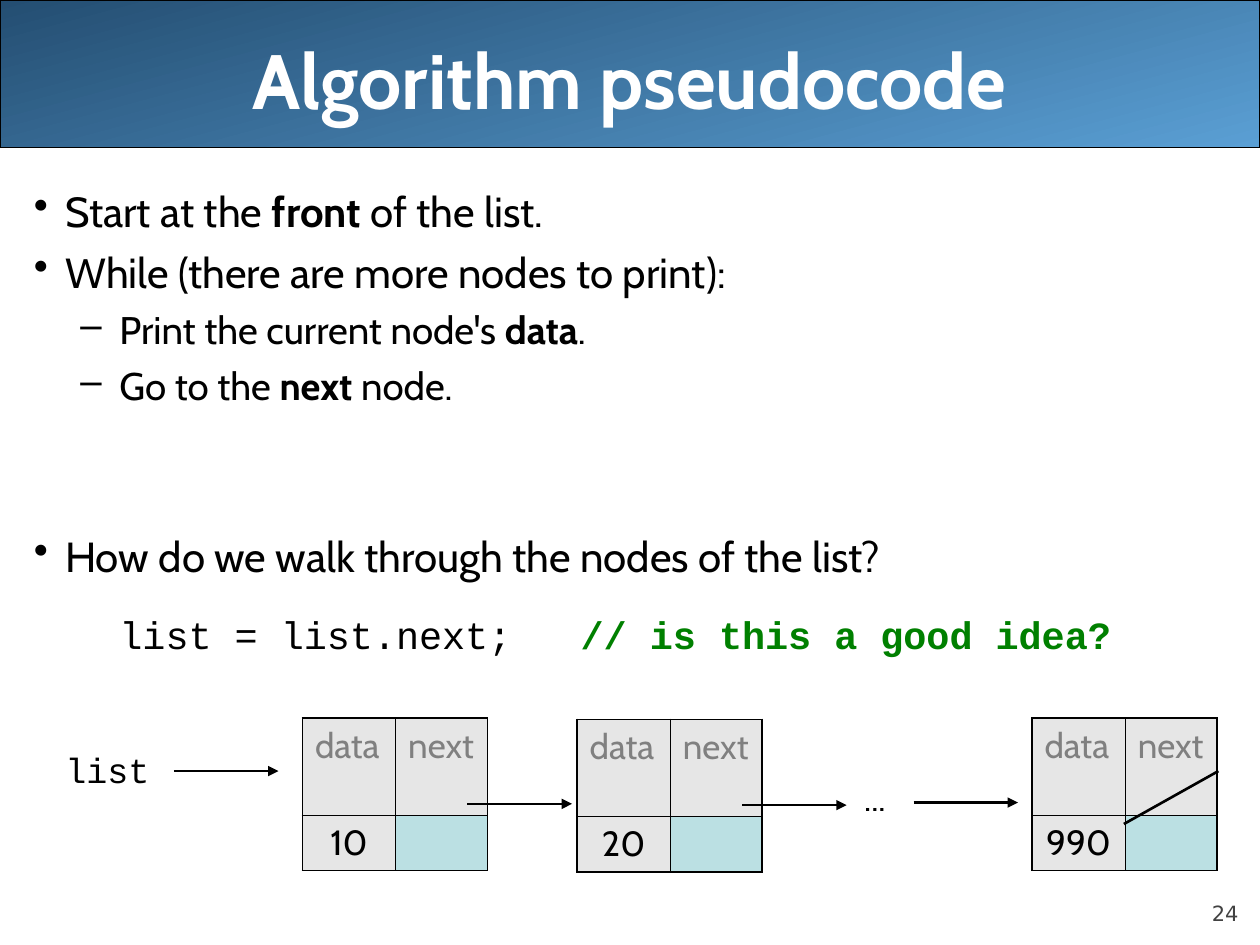
from dataclasses import dataclass

from lxml.etree import SubElement as Sub
from pptx import Presentation
from pptx.dml.color import RGBColor as RGB
from pptx.enum.shapes import MSO_CONNECTOR as Link, MSO_SHAPE as Form
from pptx.enum.text import MSO_ANCHOR as Anchor, PP_ALIGN as Align
from pptx.oxml.ns import qn
from pptx.util import Inches, Pt


@dataclass(frozen=True)
class Theme:
    ink: str = "000000"
    white: str = "FFFFFF"
    dark: str = "244E72"
    light: str = "5A9FD4"
    grey: str = "E6E6E6"
    teal: str = "BBE0E3"
    label: str = "808080"
    note: str = "008000"
    page: str = "424242"
    sans: str = "Cabin"
    mono: str = "Courier New"
    plain: str = "DejaVu Sans"
    title: int = 44
    body: int = 24
    sub: int = 22
    node: int = 20
    small: int = 12
    thick: float = 1.08
    thin: float = 0.45


class Deck:
    cols, rows = 10, 7.5

    def __init__(self, theme):
        self.theme = theme
        self.file = Presentation()
        self.file.slide_width = Inches(10)
        self.file.slide_height = Inches(7.5)
        self.slide = self.file.slides.add_slide(self.file.slide_layouts[6])
        self.shapes = self.slide.shapes

    def x(self, col):
        return round(self.file.slide_width * col / self.cols)

    def y(self, row):
        return round(self.file.slide_height * row / self.rows)

    def area(self, left, top, width, height):
        return self.x(left), self.y(top), self.x(width), self.y(height)

    def style(self, para, size, color=None, face=None, bold=False):
        font = para.font
        font.size, font.bold = Pt(size), bold
        font.name = face or self.theme.sans
        font.color.rgb = RGB.from_string(color or self.theme.ink)

    def band(self, *area):
        shape = self.shapes.add_shape(Form.RECTANGLE, *self.area(*area))
        shape.shadow.inherit = False
        shape.fill.gradient()
        shape.fill.gradient_angle = 285
        for stop, color in zip(shape.fill.gradient_stops, (self.theme.dark, self.theme.light)):
            stop.color.rgb = RGB.from_string(color)
        shape.line.color.rgb = RGB.from_string(self.theme.ink)
        shape.line.width = Pt(0.75)

    def frame(self, *area, wrap=True, anchor=Anchor.TOP):
        frame = self.shapes.add_textbox(*self.area(*area)).text_frame
        frame.word_wrap, frame.vertical_anchor = wrap, anchor
        return frame

    def text(self, words, area, size, align=Align.LEFT, anchor=Anchor.TOP,
             wrap=True, inset=True, **look):
        frame = self.frame(*area, wrap=wrap, anchor=anchor)
        if not inset:
            frame.margin_left = frame.margin_right = 0
            frame.margin_top = frame.margin_bottom = 0
        para = frame.paragraphs[0]
        para.text, para.alignment = words, align
        self.style(para, size, **look)

    def item(self, frame, parts, gap, size, left, hang=0, mark=None, face=None):
        para = frame.paragraphs[0]
        if para.runs:
            para = frame.add_paragraph()
        para.space_before = Pt(gap)
        props = para._p.get_or_add_pPr()
        props.set("marL", str(self.x(left)))
        props.set("indent", str(-self.x(hang)))
        if mark:
            Sub(props, qn("a:buChar"), char=mark)
        self.style(para, size, face=face)
        for words, bold, color in parts:
            run = para.add_run()
            run.text = words
            if bold:
                run.font.bold = True
            if color:
                run.font.color.rgb = RGB.from_string(color)

    def edge(self, cell, row, col):
        look = self.theme
        outer = {"L": col == 0, "R": col == 1, "T": row == 0, "B": row == 1}
        for side, out in outer.items():
            width = Pt(look.thick if out else look.thin)
            line = Sub(cell._tc.get_or_add_tcPr(), qn(f"a:ln{side}"), w=str(width))
            Sub(Sub(line, qn("a:solidFill")), qn("a:srgbClr"), val=look.ink)

    def node(self, left, top, value):
        look = self.theme
        grid = self.shapes.add_table(2, 2, *self.area(left, top, 1.47, 1.21)).table
        for col, width in zip(grid.columns, (0.74, 0.73)):
            col.width = self.x(width)
        for row, height in zip(grid.rows, (0.77, 0.44)):
            row.height = self.y(height)
        for i, line in enumerate((("data", "next"), (value, ""))):
            for j, words in enumerate(line):
                cell = grid.cell(i, j)
                self.edge(cell, i, j)
                cell.fill.solid()
                cell.fill.fore_color.rgb = RGB.from_string(look.grey if words else look.teal)
                para = cell.text_frame.paragraphs[0]
                para.text = words
                para.alignment = Align.CENTER if i else Align.LEFT
                self.style(para, look.node, look.ink if i else look.label)

    def line(self, start, end, arrow=False):
        (a, b), (c, d) = start, end
        link = self.shapes.add_connector(Link.STRAIGHT, self.x(a), self.y(b), self.x(c), self.y(d))
        link.line.color.rgb = RGB.from_string(self.theme.ink)
        link.line.width = Pt(1.5)
        if arrow:
            Sub(link.line._get_or_add_ln(), qn("a:tailEnd"), type="triangle")
        Sub(link._element.spPr, qn("a:effectLst"))

    def arrow(self, left, top):
        self.line((left, top), (left + 0.83, top), arrow=True)


def main():
    look = Theme()
    deck = Deck(look)
    deck.band(0, 0, 10, 1.17)
    deck.text("24", (9, 6.95, 0.83, 0.4), look.small, Align.RIGHT, Anchor.BOTTOM,
              inset=False, color=look.page, face=look.plain)
    deck.text("Algorithm pseudocode", (0.5, 0, 9, 1.25), look.title, Align.CENTER,
              Anchor.MIDDLE, color=look.white, bold=True)

    body = deck.frame(0.17, 1.42, 9.83, 5.67)
    top = dict(size=look.body, left=0.25, hang=0.25, mark="•")
    sub = dict(size=look.sub, left=0.68, hang=0.31, mark="–")
    code = dict(size=look.sub, left=0.68, face=look.mono)
    items = (
        (top, 0, ("Start at the ", 0, 0), ("front", 1, 0), (" of the list.", 0, 0)),
        (top, 6, ("While (there are more nodes to print):", 0, 0)),
        (sub, 5.5, ("Print the current node's ", 0, 0), ("data", 1, 0), (".", 0, 0)),
        (sub, 5.5, ("Go to the ", 0, 0), ("next", 1, 0), (" node.", 0, 0)),
        (top, 70, ("How do we walk through the nodes of the list?", 0, 0)),
        (code, 17, ("list = list.next;   ", 0, 0), ("// is this a good idea?", 1, look.note)),
    )
    for kind, gap, *parts in items:
        deck.item(body, parts, gap, **kind)

    for left, row, value in ((2.4, 5.7, "10"), (4.58, 5.71, "20"), (8.19, 5.7, "990")):
        deck.node(left, row, value)
    deck.text("list", (0.42, 5.89, 0.87, 0.44), look.node, wrap=False, face=look.mono)
    deck.text("...", (6.76, 6.11, 0.42, 0.44), look.node, wrap=False)
    for left, row in ((1.38, 6.12), (3.71, 6.38), (5.89, 6.39), (7.25, 6.37)):
        deck.arrow(left, row)
    deck.line((9.67, 6.12), (8.92, 6.54))
    deck.file.save("out.pptx")


if __name__ == "__main__":
    main()
